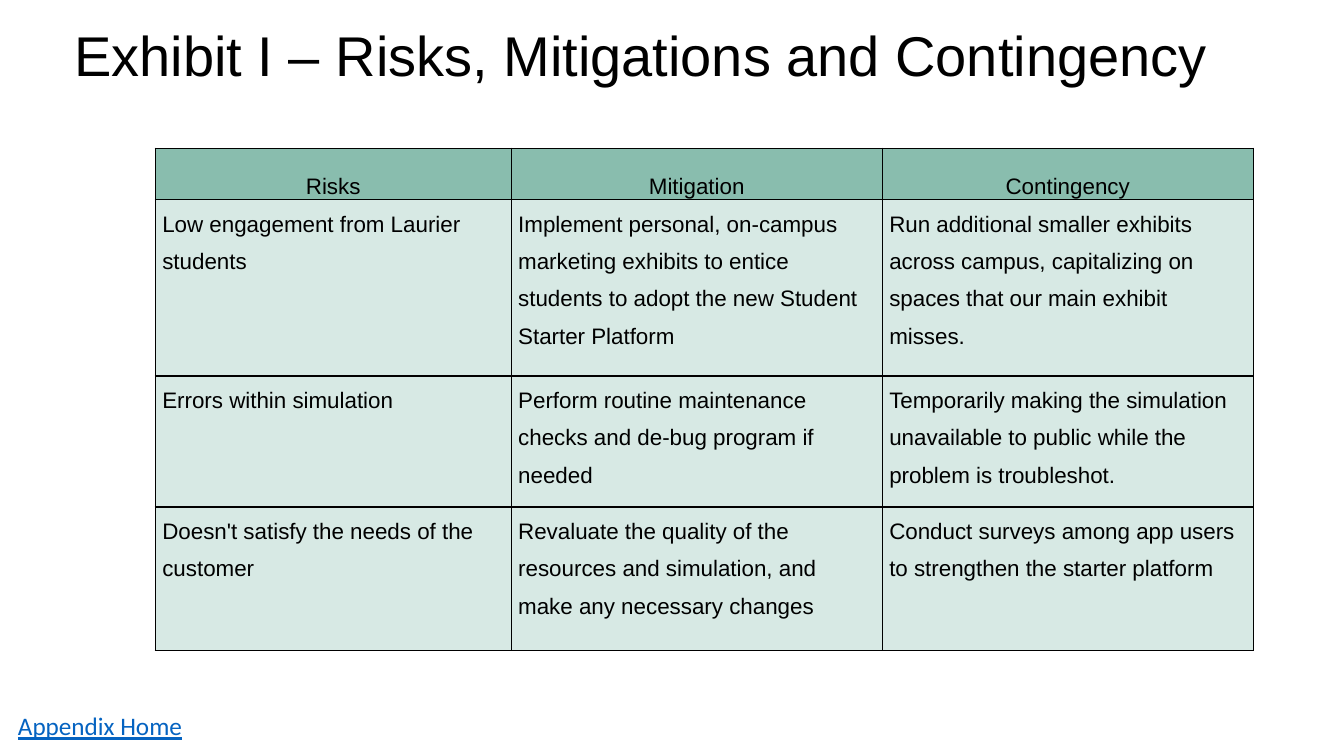
from dataclasses import dataclass

from lxml import etree
from pptx import Presentation
from pptx import util as u
from pptx.dml.color import RGBColor
from pptx.enum import text
from pptx.oxml import ns


@dataclass(frozen=True)
class Theme:
    ink: str = "000000"
    link: str = "0563C1"
    header_fill: str = "89BDAE"
    body_fill: str = "D7E9E4"
    heading_font: str = "Arial"
    link_font: str = "Calibri"
    title_size: int = 40
    link_size: int = 18
    table_size: int = 16
    border_width: int = 1


@dataclass(frozen=True)
class Label:
    wording: str
    left: float
    top: float
    width: float
    height: float
    font: str
    size: int
    color: str
    underline: bool = False


@dataclass(frozen=True)
class CellStyle:
    fill: str
    line_spacing: float
    alignment: text.PP_ALIGN
    anchor: text.MSO_ANCHOR


THEME = Theme()
HEADER = CellStyle(THEME.header_fill, 2.0, text.PP_ALIGN.CENTER, text.MSO_ANCHOR.MIDDLE)
BODY = CellStyle(THEME.body_fill, 1.5, text.PP_ALIGN.LEFT, text.MSO_ANCHOR.TOP)

LABELS = [
    Label("Exhibit I – Risks, Mitigations and Contingency", 0.64, 0.15, 12.69, 0.77,
          THEME.heading_font, THEME.title_size, THEME.ink),
    Label("Appendix Home", 0.08, 7, 1.94, 0.4,
          THEME.link_font, THEME.link_size, THEME.link, underline=True),
]

COLUMN_WIDTHS = [3.53, 3.68, 3.68]
ROW_HEIGHTS = [0.51, 1.75, 1.3, 1.42]
RISK_ROWS = [
    ("Risks", "Mitigation", "Contingency"),
    ("Low engagement from Laurier students",
     "Implement personal, on-campus marketing exhibits to entice students to adopt "
     "the new Student Starter Platform",
     "Run additional smaller exhibits across campus, capitalizing on spaces that our "
     "main exhibit misses."),
    ("Errors within simulation",
     "Perform routine maintenance checks and de-bug program if needed",
     "Temporarily making the simulation unavailable to public while the problem is "
     "troubleshot."),
    ("Doesn't satisfy the needs of the customer",
     "Revaluate the quality of the resources and simulation, and make any necessary changes",
     "Conduct surveys among app users to strengthen the starter platform"),
]


def set_font(paragraph, name: str, size: int, color: str) -> None:
    paragraph.font.name = name
    paragraph.font.size = u.Pt(size)
    paragraph.font.color.rgb = RGBColor.from_string(color)


def add_label(slide, label: Label) -> None:
    shape = slide.shapes.add_textbox(u.Inches(label.left), u.Inches(label.top),
                                     u.Inches(label.width), u.Inches(label.height))
    shape.text_frame.word_wrap = True
    shape.text_frame.auto_size = text.MSO_AUTO_SIZE.SHAPE_TO_FIT_TEXT
    paragraph = shape.text_frame.paragraphs[0]
    paragraph.text = label.wording
    set_font(paragraph, label.font, label.size, label.color)
    if label.underline:
        paragraph.runs[0].font.underline = True


def add_borders(cell) -> None:
    """Outline all four sides; call before the fill, which must follow the lines."""
    properties = cell._tc.get_or_add_tcPr()
    for side in ("lnL", "lnR", "lnT", "lnB"):
        line = etree.SubElement(properties, ns.qn(f"a:{side}"),
                                w=str(u.Pt(THEME.border_width)))
        fill = etree.SubElement(line, ns.qn("a:solidFill"))
        etree.SubElement(fill, ns.qn("a:srgbClr"), val=THEME.ink)


def fill_cell(cell, wording: str, style: CellStyle) -> None:
    add_borders(cell)
    cell.fill.solid()
    cell.fill.fore_color.rgb = RGBColor.from_string(style.fill)
    cell.margin_left = cell.margin_right = u.Inches(0.07)
    cell.margin_top = cell.margin_bottom = 0
    cell.vertical_anchor = style.anchor
    paragraph = cell.text_frame.paragraphs[0]
    paragraph.text = wording
    paragraph.alignment = style.alignment
    paragraph.line_spacing = style.line_spacing
    paragraph.space_after = u.Pt(8)
    set_font(paragraph, THEME.heading_font, THEME.table_size, THEME.ink)


def add_risk_table(slide) -> None:
    table = slide.shapes.add_table(
        len(ROW_HEIGHTS), len(COLUMN_WIDTHS), u.Inches(1.54), u.Inches(1.47),
        u.Inches(sum(COLUMN_WIDTHS)), u.Inches(sum(ROW_HEIGHTS))).table
    table.first_row = table.horz_banding = False
    for column, width in zip(table.columns, COLUMN_WIDTHS):
        column.width = u.Inches(width)
    for index, (row, height) in enumerate(zip(table.rows, ROW_HEIGHTS)):
        row.height = u.Inches(height)
        for cell, wording in zip(row.cells, RISK_ROWS[index]):
            fill_cell(cell, wording, BODY if index else HEADER)


def main() -> None:
    presentation = Presentation()
    presentation.slide_width = u.Inches(13.33)
    presentation.slide_height = u.Inches(7.5)
    slide = presentation.slides.add_slide(presentation.slide_layouts[6])
    add_risk_table(slide)
    for label in LABELS:
        add_label(slide, label)
    presentation.save("out.pptx")


if __name__ == "__main__":
    main()
